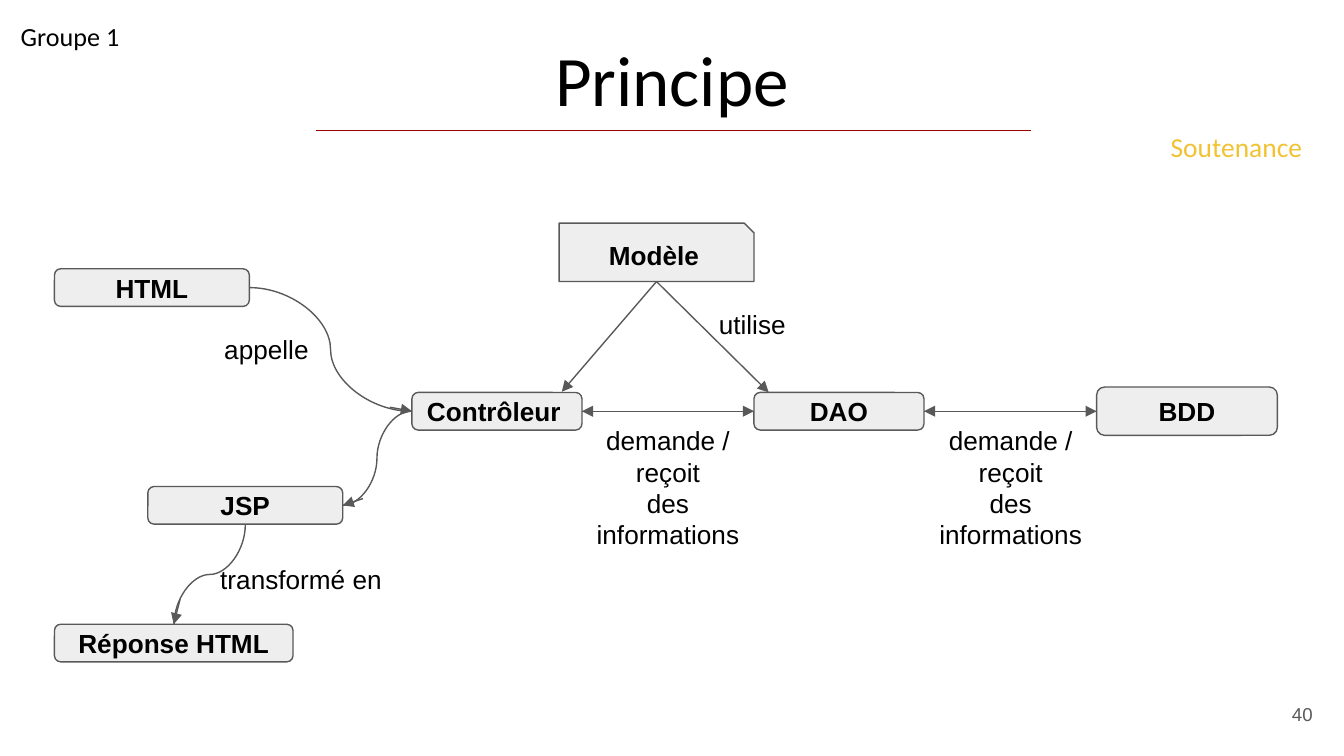
from lxml.etree import SubElement
from pptx import Presentation
from pptx.dml.color import RGBColor
from pptx.enum.shapes import MSO_CONNECTOR, MSO_SHAPE
from pptx.enum.text import MSO_ANCHOR, PP_ALIGN
from pptx.oxml.ns import qn
from pptx.util import Inches, Pt

COLORS = {"ink": "000000", "line": "595959", "box": "EEEEEE",
          "rule": "990000", "accent": "F1C232"}
CELL = Inches(0.1)  # the slide is a grid of 100 columns by 56.25 rows
LEFT, CENTER, RIGHT = PP_ALIGN.LEFT, PP_ALIGN.CENTER, PP_ALIGN.RIGHT
TOP_SIDE, LEFT_SIDE, BOTTOM_SIDE, RIGHT_SIDE = range(4)

deck = Presentation()
deck.slide_width, deck.slide_height = int(100 * CELL), int(56.25 * CELL)
page = deck.slides.add_slide(deck.slide_layouts[6])


def write(box, text, align=CENTER, anchor=MSO_ANCHOR.TOP, size=14,
          font="Arial", color="ink", bold=False, spacing=None):
    """Fill a box with one paragraph per line of text."""
    frame = box.text_frame
    frame_format = {"word_wrap": True, "vertical_anchor": anchor}
    for side in ("left", "top", "right", "bottom"):
        frame_format[f"margin_{side}"] = CELL
    for name, value in frame_format.items():
        setattr(frame, name, value)
    frame.text = text
    for para in frame.paragraphs:
        para.alignment = align
        para.line_spacing = spacing
        for span in para.runs:
            for name, value in {"size": Pt(size), "name": font, "bold": bold}.items():
                setattr(span.font, name, value)
            span.font.color.rgb = RGBColor.from_string(COLORS[color])


def draw_line(start, end, kind=MSO_CONNECTOR.STRAIGHT, color="line", arrow=False):
    ends = [int(value * CELL) for value in (*start, *end)]
    line = page.shapes.add_connector(kind, *ends)
    line.line.width = Pt(0.75)
    line.line.color.rgb = RGBColor.from_string(COLORS[color])
    if arrow:
        SubElement(line.line._get_or_add_ln(), qn("a:tailEnd"), type="triangle")
    SubElement(line._element.spPr, qn("a:effectLst"))
    return line


# Header, page number and arrow labels: grid place, text, format
exchange = "demande / reçoit\ndes informations"
texts = [
    ((8.05, 0.6, 83.9, 9.4), "Principe",
     {"size": 38, "font": "Calibri", "anchor": MSO_ANCHOR.BOTTOM}),
    ((0.55, 0.55, 10.5, 6.7), "Groupe 1", {"font": "Calibri", "align": LEFT}),
    ((85.7, 9.8, 12.6, 3.6), "Soutenance",
     {"size": 14.7, "font": "Calibri", "color": "accent", "spacing": 0.6}),
    ((92.65, 51, 6, 4.3), "40",
     {"size": 10, "color": "line", "align": RIGHT, "anchor": MSO_ANCHOR.MIDDLE}),
    ((15.7, 23.8, 9.8, 4.4), "appelle", {"align": LEFT}),
    ((52.5, 21.95, 9.8, 4.4), "utilise", {"align": LEFT}),
    ((43.25, 30.6, 12.9, 11.4), exchange, {}),
    ((68.75, 30.6, 12.9, 11.4), exchange, {}),
    ((15.15, 40.95, 14.5, 4.4), "transformé en", {}),
]
for place, text, text_format in texts:
    box = page.shapes.add_textbox(*[int(value * CELL) for value in place])
    write(box, text, **text_format)
draw_line((23.5, 9.72), (76.7, 9.72), color="rule")

# Components of the architecture: name, grid place
components = {
    "HTML": (4.05, 20, 14.5, 2.8),
    "Contrôleur": (30.65, 29.2, 12.65, 2.8),
    "DAO": (56.1, 29.2, 12.65, 2.8),
    "BDD": (81.6, 28.8, 13.45, 3.6),
    "Modèle": (41.6, 16.6, 14.5, 4.35),
    "JSP": (11, 36.2, 14.5, 2.8),
    "Réponse HTML": (4.05, 46.45, 17.75, 2.8),
}
boxes = {}
for name, place in components.items():
    outline = MSO_SHAPE.SNIP_1_RECTANGLE if name == "Modèle" else MSO_SHAPE.ROUNDED_RECTANGLE
    box = page.shapes.add_shape(outline, *[int(value * CELL) for value in place])
    box.shadow.inherit = False
    box.fill.solid()
    box.fill.fore_color.rgb = RGBColor.from_string(COLORS["box"])
    box.line.color.rgb = RGBColor.from_string(COLORS["line"])
    box.line.width = Pt(0.75)
    write(box, name, align=LEFT if name == "Contrôleur" else CENTER,
          anchor=MSO_ANCHOR.MIDDLE, bold=True)
    boxes[name] = box

# Two-way exchanges: one arrow each way
for first, second in (("Contrôleur", "DAO"), ("DAO", "BDD")):
    sides = [(boxes[first], RIGHT_SIDE), (boxes[second], LEFT_SIDE)]
    for begin, end in (sides, sides[::-1]):
        arrow = draw_line((0, 0), (1, 1), arrow=True)
        arrow.begin_connect(*begin)
        arrow.end_connect(*end)

# The model feeds the controller and the DAO
for target in ((41.8, 29.15), (57.2, 29.2)):
    arrow = draw_line((48.9, 21), target, arrow=True)
    arrow.begin_connect(boxes["Modèle"], BOTTOM_SIDE)

# Curved flow; a quarter turn makes a curve leave downwards
curves = [
    ((18.6, 21.4), (30.6, 30.6), 0),
    ((30.6, 30.6), (25.5, 37.6), 0),
    ((11.9, 40.1), (19.3, 45.4), 90),
]
for start, end, turn in curves:
    curve = draw_line(start, end, MSO_CONNECTOR.CURVE)
    if turn:
        curve._element.spPr.find(qn("a:xfrm")).set("rot", str(turn * 60000))

# Short arrows that finish the curves
tips = [
    ((29, 30.3), (30.6, 30.6), "Contrôleur", LEFT_SIDE),
    ((27, 37.1), (25.5, 37.6), "JSP", RIGHT_SIDE),
    ((13.4, 44.6), (12.9, 46.4), "Réponse HTML", TOP_SIDE),
]
for start, end, target, side in tips:
    draw_line(start, end, arrow=True).end_connect(boxes[target], side)

deck.save("out.pptx")
